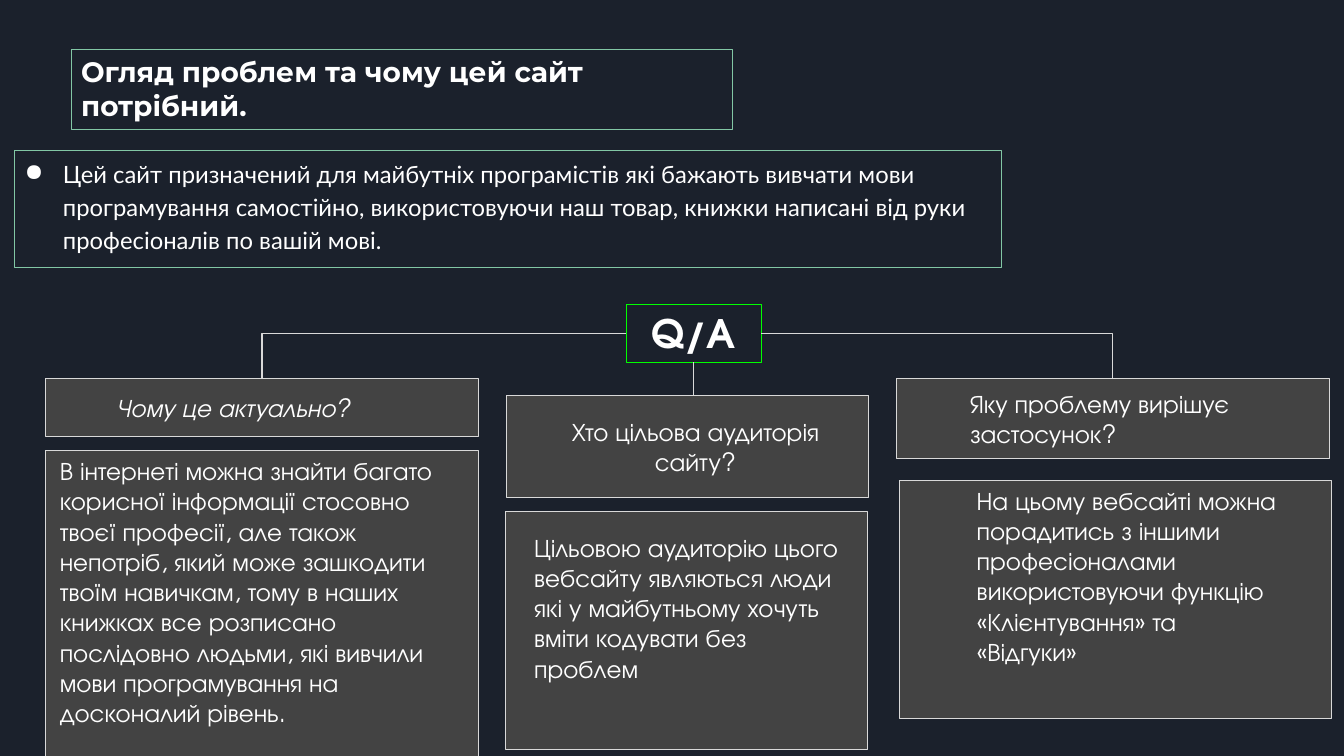
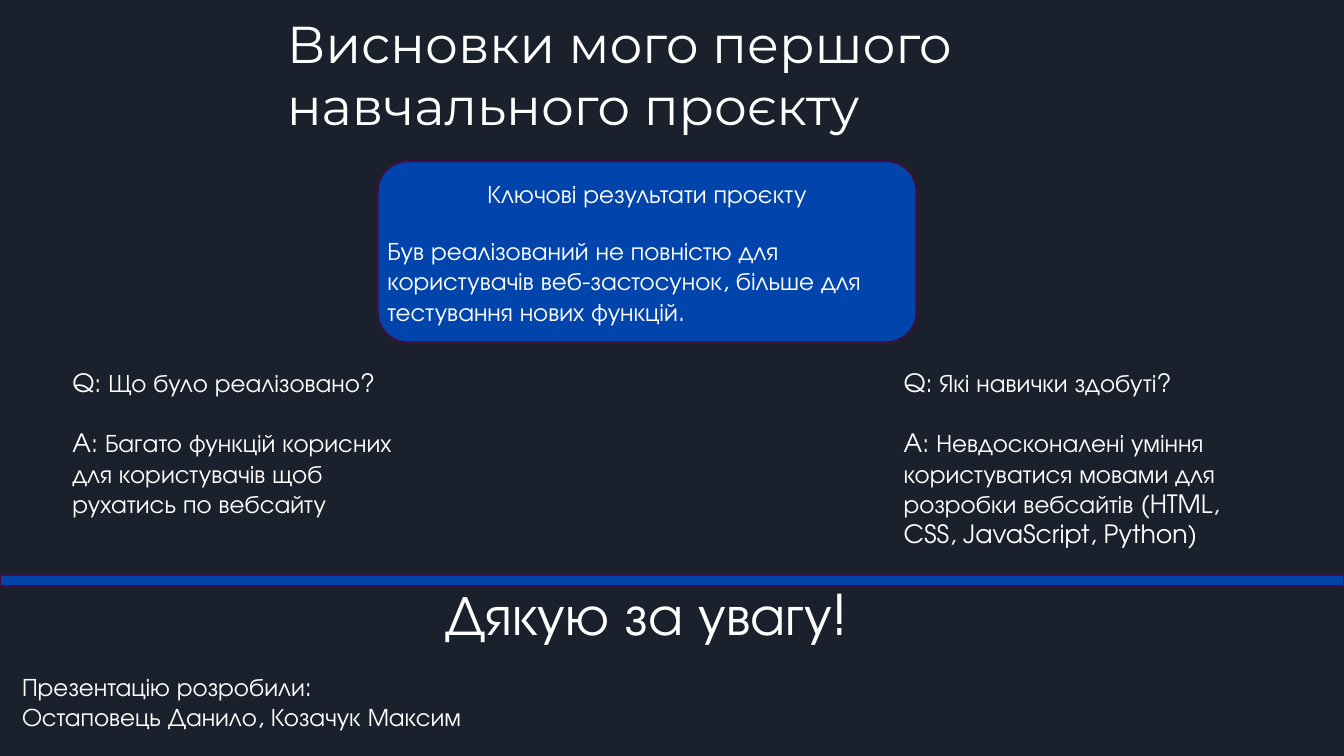
from lxml import etree
from pptx import Presentation, util as u
from pptx.dml.color import RGBColor
from pptx.enum import shapes, text
from pptx.oxml.ns import qn

NIGHT, WHITE, GREY, SILVER = "1B212C", "FFFFFF", "434343", "D9D9D9"
MINT, LIME, BLUE, PLUM = "82C7A5", "00FF00", "0145AC", "3D103C"
TITLE_FONT, LEAD_FONT, TEXT_FONT = "Montserrat", "Lato", "TeX Gyre Adventor"
LEFT, CENTER = text.PP_ALIGN.LEFT, text.PP_ALIGN.CENTER
TOP, MIDDLE = text.MSO_ANCHOR.TOP, text.MSO_ANCHOR.MIDDLE
RECT, ROUNDED = shapes.MSO_SHAPE.RECTANGLE, shapes.MSO_SHAPE.ROUNDED_RECTANGLE

prs = Presentation()
prs.slide_width, prs.slide_height = u.Inches(13.333), u.Inches(7.5)
COL, ROW = prs.slide_width / 100, prs.slide_height / 100
BLANK = prs.slide_layouts[6]


def paint(color_format, hex_color):
    """Give a fill, or the fill of a line, one solid colour."""
    color_format.solid()
    color_format.fore_color.rgb = RGBColor.from_string(hex_color)


def add_box(slide, place, lines=(), font=TEXT_FONT, size=18, bold=False, italic=False,
            align=LEFT, gap=0, kind=None, fill=None, outline=None, weight=0.75,
            insets=(0.1, 0.05, 0.1, 0.05), anchor=TOP):
    """Add a text box or a shape; place is left, top, width, height in % of the slide."""
    left, top, width, height = place
    area = [int(v) for v in (left * COL, top * ROW, width * COL, height * ROW)]
    box = slide.shapes.add_shape(kind, *area) if kind else slide.shapes.add_textbox(*area)
    box.shadow.inherit = False
    if fill:
        paint(box.fill, fill)
    else:
        box.fill.background()
    if outline:
        paint(box.line.fill, outline)
        box.line.width = u.Pt(weight)
    else:
        box.line.fill.background()

    frame = box.text_frame
    frame.word_wrap = True
    frame.vertical_anchor = anchor
    (frame.margin_left, frame.margin_top,
     frame.margin_right, frame.margin_bottom) = map(u.Inches, insets)
    if lines:
        frame.text = "\n".join(lines)
    for number, paragraph in enumerate(frame.paragraphs):
        paragraph.alignment = align
        if number and gap:
            paragraph.space_before = u.Pt(gap)
        for run in paragraph.runs:
            run.font.name, run.font.size = font, u.Pt(size)
            run.font.bold, run.font.italic = bold, italic
            paint(run.font.fill, WHITE)
    return box


paint(prs.slide_master.background.fill, NIGHT)

# Slide 1: the problem and three questions
problem = prs.slides.add_slide(BLANK)
add_box(problem, (5.3, 6.6, 49.2, 10.6), ["Огляд проблем та чому цей сайт потрібний."],
        font=TITLE_FONT, size=20, bold=True, outline=MINT)

purpose = add_box(problem, (1.1, 19.9, 73.4, 15.5), [
    "Цей сайт призначений для майбутніх програмістів які бажають вивчати мови "
    "програмування самостійно, використовуючи наш товар, книжки написані від руки "
    "професіоналів по вашій мові."], font=LEAD_FONT, size=17, outline=MINT)
bullet_line = purpose.text_frame.paragraphs[0]
bullet_line.line_spacing = 1.15
properties = bullet_line._p.get_or_add_pPr()
properties.set("marL", str(u.Inches(0.38)))
properties.set("indent", str(u.Inches(-0.38)))
bullet_color = etree.SubElement(properties, qn("a:buClr"))
etree.SubElement(bullet_color, qn("a:srgbClr"), val=WHITE)
etree.SubElement(properties, qn("a:buChar"), char="●")

hub = add_box(problem, (46.6, 40.3, 10.05, 7.6), ["Q/A"], size=28, bold=True,
              align=CENTER, kind=RECT, outline=LIME)

# Each card: place, insets, text; questions also have alignment and italics
questions = [
    ((3.4, 50.1, 32.2, 7.6), (0.7, 0.05, 1.01, 0.05), "Чому це актуально?", LEFT, True),
    ((37.7, 52.3, 26.9, 13.5), (0.53, 0.05, 0.37, 0.05),
     "Хто цільова аудиторія сайту?", CENTER, False),
    ((66.7, 50.1, 32.2, 10.5), (0.73, 0.05, 0.74, 0.05),
     "Яку проблему вирішує застосунок?", LEFT, False),
]
answers = [
    ((3.4, 59.6, 32.2, 41.7), (0.14, 0.05, 0.13, 0.05),
     "В інтернеті можна знайти багато корисної інформації стосовно твоєї професії, "
     "але також непотріб, який може зашкодити твоїм навичкам, тому в наших книжках "
     "все розписано послідовно людьми, які вивчили мови програмування на "
     "досконалий рівень."),
    ((37.65, 67.7, 26.9, 31.5), (0.28, 0.2, 0.28, 0.05),
     "Цільовою аудиторію цього вебсайту являються люди які у майбутньому хочуть "
     "вміти кодувати без проблем"),
    ((66.9, 63.5, 32.2, 31.5), (0.77, 0.05, 0.49, 0.05),
     "На цьому вебсайті можна порадитись з іншими професіоналами використовуючи "
     "функцію «Клієнтування» та «Відгуки»"),
]
for place, insets, answer in answers:
    add_box(problem, place, [answer], kind=RECT, fill=GREY, outline=SILVER, insets=insets)
headings = [
    add_box(problem, place, [question], italic=italic, align=align, kind=RECT,
            fill=GREY, outline=SILVER, insets=insets, anchor=MIDDLE)
    for place, insets, question, align, italic in questions]

ELBOW, STRAIGHT = shapes.MSO_CONNECTOR.ELBOW, shapes.MSO_CONNECTOR.STRAIGHT
hub_middle = hub.left + hub.width // 2
for heading, hub_side, route in zip(headings, (1, 2, 3), (ELBOW, STRAIGHT, ELBOW)):
    branch = problem.shapes.add_connector(
        route, hub_middle, hub.top + hub.height, hub_middle, heading.top)
    branch.begin_connect(hub, hub_side)
    if route == ELBOW:
        branch.end_connect(heading, 0)
        branch._element.spPr.find(qn("a:prstGeom")).set("prst", "bentConnector2")
    paint(branch.line.fill, SILVER)
    branch.line.width = u.Pt(0.75)
    etree.SubElement(branch._element.spPr, qn("a:effectLst"))

# Slide 2: conclusions
summary = prs.slides.add_slide(BLANK)
add_box(summary, (20.6, 0.9, 77.1, 20.4), ["Висновки мого першого навчального проєкту"],
        font=TITLE_FONT, size=37)

for place, exchange in [
    ((4.65, 47.9, 25.9, 25.6),
     ["Q: Що було реалізовано?",
      "A: Багато функцій корисних для користувачів щоб рухатись по вебсайту"]),
    ((66.5, 47.9, 27.8, 25.6),
     ["Q: Які навички здобуті?",
      "A: Невдосконалені уміння користуватися мовами для розробки вебсайтів "
      "(HTML, CSS, JavaScript, Python)"]),
]:
    add_box(summary, place, exchange, gap=21.6)

add_box(summary, (0, 76, 100, 1.5), kind=RECT, fill=BLUE, outline=PLUM, weight=1.5)
results = add_box(summary, (28.1, 21.3, 40.1, 24), [
    "Ключові результати проєкту",
    "Був реалізований не повністю для користувачів веб-застосунок, більше для "
    "тестування нових функцій."], gap=19.5, kind=ROUNDED, fill=BLUE, outline=PLUM,
    weight=1.5, insets=(0.01, 0.08, 0.01, 0))
results.text_frame.paragraphs[0].alignment = CENTER

add_box(summary, (0, 76, 96.3, 10.3), ["Дякую за увагу!"], size=40, align=CENTER)
add_box(summary, (0.9, 88.1, 54.5, 9.5),
        ["Презентацію розробили:", "Остаповець Данило, Козачук Максим"])

prs.save("out.pptx")
